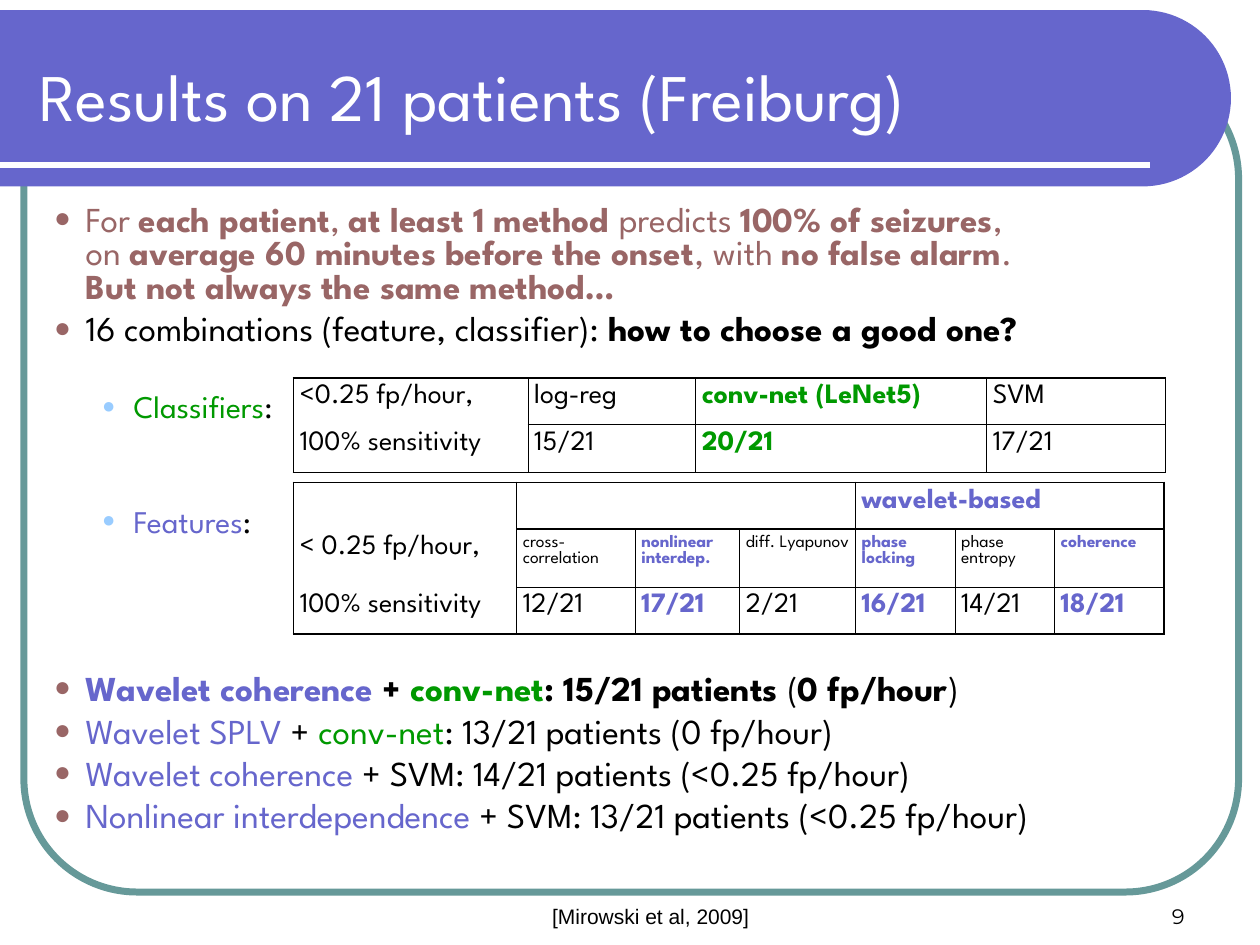
from math import cos, pi, sin

from lxml.etree import SubElement
from pptx import Presentation
from pptx.dml.color import RGBColor
from pptx.enum.shapes import MSO_CONNECTOR, MSO_SHAPE
from pptx.enum.text import MSO_ANCHOR, MSO_AUTO_SIZE, PP_ALIGN
from pptx.oxml.ns import qn
from pptx.util import Inches, Pt

BLACK = RGBColor(0x00, 0x00, 0x00)
WHITE = RGBColor(0xFF, 0xFF, 0xFF)
VIOLET = RGBColor(0x66, 0x66, 0xCC)
GREEN = RGBColor(0x00, 0x99, 0x00)
ROSE = RGBColor(0x99, 0x66, 0x66)
TEAL = RGBColor(0x66, 0x99, 0x99)
SKY = RGBColor(0x99, 0xCC, 0xFF)
FONT = "League Spartan"
NO_STYLE = "{2D5ABB26-0587-4C30-8999-92F81FD0307C}"
THIN, THICK = 0.45, 1.08

FINDINGS = [
    (0, 0, [("For ", ROSE, False), ("each patient", ROSE, True), (", ", ROSE, False),
            ("at least 1 method ", ROSE, True), ("predicts ", ROSE, False),
            ("100% of seizures", ROSE, True), (", \non ", ROSE, False),
            ("average 60 minutes before the onset", ROSE, True), (", with ", ROSE, False),
            ("no false alarm", ROSE, True), (".\n", ROSE, False),
            ("But not always the same method…", ROSE, True)]),
    (0, 5, [("16 combinations (feature, classifier): ", BLACK, False),
            ("how to choose a good one?", BLACK, True)]),
    (1, 26.3, [("Classifiers", GREEN, False), (":", BLACK, False)]),
    (1, 48, [("Features", VIOLET, False), (":", BLACK, False)]),
    (0, 77.5, [("Wavelet coherence", VIOLET, True), (" + ", BLACK, True),
               ("conv-net", GREEN, True), (": 15/21 patients ", BLACK, True),
               ("(", BLACK, False), ("0 fp/hour", BLACK, True), (")", BLACK, False)]),
    (0, 5, [("Wavelet SPLV", VIOLET, False), (" + ", BLACK, False),
            ("conv-net", GREEN, False), (": 13/21 patients (0 fp/hour)", BLACK, False)]),
    (0, 5, [("Wavelet coherence", VIOLET, False),
            (" + SVM: 14/21 patients (<0.25 fp/hour)", BLACK, False)]),
    (0, 5, [("Nonlinear interdependence", VIOLET, False),
            (" + SVM: 13/21 patients (<0.25 fp/hour)", BLACK, False)]),
]
CLASSIFIERS = [
    ["<0.25 fp/hour,", "log-reg", "conv-net (LeNet5)", "SVM"],
    ["100% sensitivity", "15/21", "20/21", "17/21"],
]
FEATURES = [
    ["", "", "", "", "wavelet-based", "", ""],
    ["< 0.25 fp/hour,", "cross-correlation", "nonlinear interdep.", "diff. Lyapunov",
     "phase locking", "phase entropy", "coherence"],
    ["100% sensitivity", "12/21", "17/21", "2/21", "16/21", "14/21", "18/21"],
]


def place(shape, left, top, width, height):
    shape.left, shape.top = Inches(left), Inches(top)
    shape.width, shape.height = Inches(width), Inches(height)


def set_font(font, size, color=None, bold=None, name=FONT):
    font.name, font.size, font.bold = name, Pt(size), bold
    if color is not None:
        font.color.rgb = color


def add_frame(slide, left, top, width, height):
    frame = slide.shapes.add_shape(MSO_SHAPE.ROUNDED_RECTANGLE, Inches(left), Inches(top),
                                   Inches(width), Inches(height))
    frame.adjustments[0] = 0.137
    frame.shadow.inherit = False
    frame.fill.background()
    frame.line.color.rgb = TEAL
    frame.line.width = Pt(4)


def add_banner(slide, left, top, width, height):
    radius, steps = height / 2, 48
    center_x, center_y = left + width - radius, top + radius
    angles = [pi * (step / steps - 0.5) for step in range(steps + 1)]
    arc = [(Inches(center_x + radius * cos(angle)), Inches(center_y + radius * sin(angle)))
           for angle in angles]
    builder = slide.shapes.build_freeform(Inches(left), Inches(top))
    builder.add_line_segments(arc + [(Inches(left), Inches(top + height))], close=True)
    banner = builder.convert_to_shape()
    banner.shadow.inherit = False
    banner.fill.solid()
    banner.fill.fore_color.rgb = VIOLET
    banner.line.fill.background()

    rule_y = Inches(top + 1.23)
    rule = slide.shapes.add_connector(MSO_CONNECTOR.STRAIGHT, Inches(left), rule_y,
                                      Inches(left + 9.13), rule_y)
    rule.line.color.rgb = WHITE
    rule.line.width = Pt(3)
    SubElement(rule._element.spPr, qn("a:effectLst"))


def add_title(slide, left, top, width, height):
    title = slide.shapes.title
    slide.shapes._spTree.append(title._element)
    place(title, left, top, width, height)
    title.text_frame.text = "Results on 21 patients (Freiburg)"
    title.text_frame.vertical_anchor = MSO_ANCHOR.MIDDLE
    title.text_frame.auto_size = MSO_AUTO_SIZE.NONE
    paragraph = title.text_frame.paragraphs[0]
    paragraph.alignment = PP_ALIGN.LEFT
    set_font(paragraph.font, 38, WHITE)


def set_bullet(paragraph, level):
    margin, color, size = [(0.25, ROSE, 80), (0.63, SKY, 70)][level]
    properties = paragraph._p.get_or_add_pPr()
    properties.set("marL", str(Inches(margin)))
    properties.set("indent", str(Inches(-0.25)))
    bullet_color = SubElement(properties, qn("a:buClr"))
    SubElement(bullet_color, qn("a:srgbClr"), val=str(color))
    SubElement(properties, qn("a:buSzPct"), val=str(size * 1000))
    SubElement(properties, qn("a:buFont"), typeface="Arial")
    SubElement(properties, qn("a:buChar"), char="●")


def add_findings(slide, left, top, width, height):
    body = slide.placeholders[1]
    slide.shapes._spTree.append(body._element)
    place(body, left, top, width, height)
    text_frame = body.text_frame
    text_frame.auto_size = MSO_AUTO_SIZE.NONE
    for index, (level, space_before, runs) in enumerate(FINDINGS):
        paragraph = text_frame.add_paragraph() if index else text_frame.paragraphs[0]
        paragraph.level = level
        paragraph.line_spacing = 0.8
        paragraph.space_before = Pt(space_before)
        set_bullet(paragraph, level)
        set_font(paragraph.font, 18 if level else 20)
        for text, color, bold in runs:
            for number, line in enumerate(text.split("\n")):
                if number:
                    paragraph.add_line_break()
                if line:
                    run = paragraph.add_run()
                    run.text = line
                    run.font.color.rgb = color
                    run.font.bold = bold


def set_borders(cell, widths):
    properties = cell._tc.get_or_add_tcPr()
    for index, (side, width) in enumerate(zip("LRTB", widths)):
        line = SubElement(properties, qn(f"a:ln{side}"), w=str(Pt(width)))
        if width:
            fill = SubElement(line, qn("a:solidFill"))
            SubElement(fill, qn("a:srgbClr"), val=str(BLACK))
        else:
            SubElement(line, qn("a:noFill"))
        properties.insert(index, line)


def add_result_table(slide, left, top, columns, heights, rows, accent, accented,
                     merges=(), small_row=None, thick_rules=()):
    last_row, last_column = len(rows), len(columns)
    table = slide.shapes.add_table(last_row, last_column, Inches(left), Inches(top),
                                   Inches(sum(columns)), Inches(sum(heights))).table
    table.first_row = table.horz_banding = False
    table._tbl.tblPr.find(qn("a:tableStyleId")).text = NO_STYLE
    for column, width in zip(table.columns, columns):
        column.width = Inches(width)
    for row, height in zip(table.rows, heights):
        row.height = Inches(height)
    for row, first, last in merges:
        table.cell(row, first).merge(table.cell(row, last))

    def rule_width(edge, column):
        if edge in (0, last_row):
            return THICK
        if column == 0:
            return 0
        return THICK if edge in thick_rules else THIN

    for r, texts in enumerate(rows):
        for c, text in enumerate(texts):
            cell = table.cell(r, c)
            if cell.is_spanned:
                continue
            cell.fill.background()
            cell.margin_left = cell.margin_right = Inches(0.05)
            cell.margin_top = cell.margin_bottom = Inches(0.05 if text else 0)
            right = c + (cell.span_width if cell.is_merge_origin else 1)
            set_borders(cell, [THIN if c else THICK,
                               THICK if right == last_column else THIN,
                               rule_width(r, c), rule_width(r + 1, c)])
            cell.text = text
            marked = c in accented and text != ""
            size = 10 if r == small_row and c else 16
            set_font(cell.text_frame.paragraphs[0].font, size,
                     accent if marked else BLACK, marked)


def add_footer(slide, left, top, width, height, text, alignment, font_name):
    box = slide.shapes.add_textbox(Inches(left), Inches(top), Inches(width), Inches(height))
    box.text_frame.word_wrap = True
    box.text_frame.vertical_anchor = MSO_ANCHOR.BOTTOM
    box.text_frame.text = text
    paragraph = box.text_frame.paragraphs[0]
    paragraph.alignment = alignment
    set_font(paragraph.font, 12, BLACK, name=font_name)


def main():
    presentation = Presentation()
    presentation.slide_width, presentation.slide_height = Inches(10), Inches(7.5)
    slide = presentation.slides.add_slide(presentation.slide_layouts[1])
    add_frame(slide, 0.19, 0.52, 9.64, 6.56)
    add_banner(slide, 0, 0.08, 9.77, 1.4)
    add_footer(slide, 1.83, 7.17, 6.67, 0.25, "[Mirowski et al, 2009]", PP_ALIGN.CENTER, "Arial")
    add_footer(slide, 8.58, 7.17, 0.92, 0.25, "9", PP_ALIGN.RIGHT, "Montserrat")
    add_title(slide, 0.21, 0.25, 8.77, 1)
    add_result_table(slide, 2.33, 3, [1.86, 1.33, 2.31, 1.42], [0.37, 0.38],
                     CLASSIFIERS, GREEN, {2})
    add_result_table(slide, 2.33, 3.83, [1.77, 0.94, 0.83, 0.92, 0.79, 0.79, 0.87],
                     [0.37, 0.46, 0.37], FEATURES, VIOLET, {2, 4, 6},
                     merges=[(0, 1, 3), (0, 4, 6)], small_row=1, thick_rules={1})
    add_findings(slide, 0.33, 1.58, 9.33, 5.17)
    presentation.save("out.pptx")


if __name__ == "__main__":
    main()
